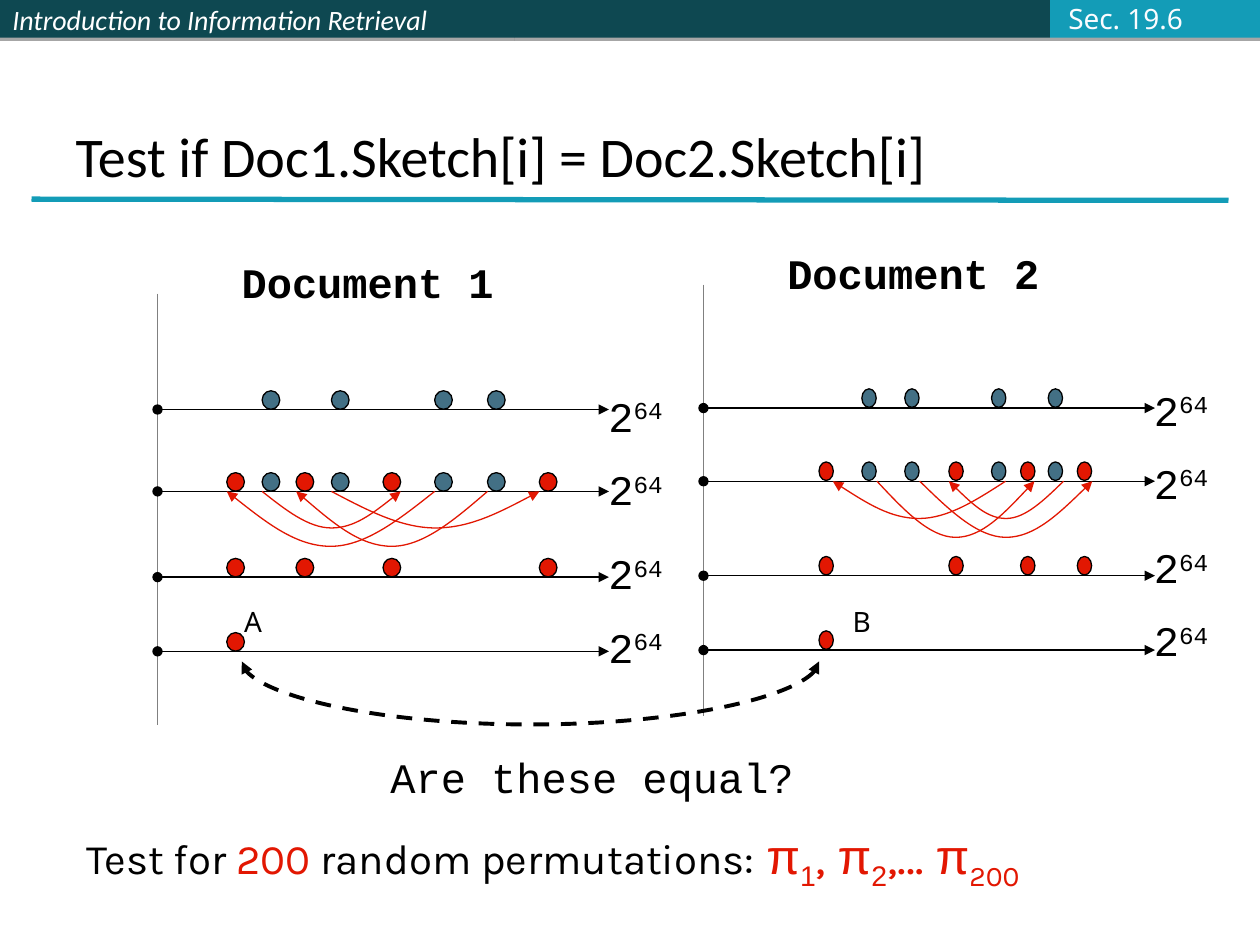
from dataclasses import dataclass

from lxml.etree import SubElement
from pptx import Presentation
from pptx.dml.color import RGBColor as Color
from pptx.enum.dml import MSO_LINE as Dash
from pptx.enum.shapes import MSO_CONNECTOR as Connector, MSO_SHAPE as Preset
from pptx.enum.text import MSO_ANCHOR as Anchor, MSO_AUTO_SIZE as Fit, PP_ALIGN as Align
from pptx.oxml.ns import qn
from pptx.util import Pt


@dataclass(frozen=True)
class Theme:
    """Colours, fonts and type sizes of the slide."""
    black: str = "000000"
    white: str = "FFFFFF"
    pale: str = "FBFCFF"
    grey: str = "808080"
    dark: str = "0E4851"
    teal: str = "139CB7"
    blue: str = "437085"
    red: str = "E21702"
    head: str = "Calibri"
    mono: str = "Courier New"
    sans: str = "Noto Sans"
    body: str = "Karla"
    greek: str = "Arial"
    title_size: float = 32
    large: float = 28
    medium: float = 24
    small: float = 16


THEME = Theme()
STEADY = ((1 / 3, 1 / 2), (2 / 3, 1))
ROUND = ((0, 1 / 2), (1 / 2, 1))


@dataclass(frozen=True)
class Arc:
    """A curved arrow that dips below its row."""
    start: float
    end: float
    depth: float


@dataclass(frozen=True)
class Diagram:
    """One document with its four number lines."""
    name: str
    name_at: tuple[float, float]
    left: float
    guide_top: float
    rows: tuple[float, ...]
    dot_width: float
    dot_lift: float
    hashes: tuple[float, ...]
    permuted: tuple[float, ...]
    arcs: tuple[Arc, ...]
    label_left: float
    label_tops: tuple[float, ...]


DIAGRAMS = (
    Diagram("Document 1", (131, 143.3), 90, 167.8, (234, 280.8, 329.8, 372.2), 10.1, 10.7,
            (149.8, 189.4, 248.4, 278.6), (129.6, 169.2, 218.9, 308.2),
            (Arc(149.8, 229, 20.9), Arc(248.4, 129.6, 31.4),
             Arc(189.4, 308.2, 20.9), Arc(278.6, 169.2, 31.4)),
            340.6, (219.6, 261.4, 309.6, 351.4)),
    Diagram("Document 2", (442.8, 138.2), 402, 162.7, (233.2, 275, 329, 371.5), 8.2, 11,
            (492.5, 517, 566.6, 599), (468, 542.2, 583.2, 615.6),
            (Arc(607.7, 542.2, 21.3), Arc(525.6, 624.2, 32.1),
             Arc(574.6, 475.9, 21.3), Arc(501.1, 591.1, 32.1)),
            652.3, (216, 257.8, 306, 347.8)),
)


def add_span(para, text: str, *, size: float = THEME.medium, font: str = THEME.mono,
             color: str = THEME.black, bold: bool = False, italic: bool = False,
             baseline: int = 0) -> None:
    """Append formatted text; baseline is a percentage of the type size."""
    span = para.add_run()
    span.text = text
    span.font.size, span.font.name = Pt(size), font
    span.font.bold, span.font.italic = bold, italic
    span.font.color.rgb = Color.from_string(color)
    if baseline:
        span._r.get_or_add_rPr().set("baseline", str(baseline * 1000))


def add_box(page, left: float, top: float, width: float, height: float, anchor=Anchor.TOP):
    """Add an unwrapped text box and return its first paragraph."""
    frame = page.shapes.add_textbox(Pt(left), Pt(top), Pt(width), Pt(height)).text_frame
    frame.word_wrap = False
    frame.auto_size = Fit.SHAPE_TO_FIT_TEXT
    frame.vertical_anchor = anchor
    return frame.paragraphs[0]


def style_line(shape, color: str, weight: float, head: str = "", tail: str = "") -> None:
    """Set a line's colour, weight and arrowheads."""
    shape.line.color.rgb = Color.from_string(color)
    shape.line.width = Pt(weight)
    stroke = shape.element.spPr.find(qn("a:ln"))
    for tag, kind in (("a:headEnd", head), ("a:tailEnd", tail)):
        if kind:
            SubElement(stroke, qn(tag), type=kind)


def add_line(page, x1: float, y1: float, x2: float, y2: float, color: str,
             weight: float = 0.75, **ends: str) -> None:
    """Add a straight line without a shadow."""
    line = page.shapes.add_connector(Connector.STRAIGHT, Pt(x1), Pt(y1), Pt(x2), Pt(y2))
    style_line(line, color, weight, **ends)
    SubElement(line.element.spPr, qn("a:effectLst"))


def add_shape(page, preset, left: float, top: float, width: float, height: float, fill: str):
    """Add a flat filled preset shape."""
    shape = page.shapes.add_shape(preset, Pt(left), Pt(top), Pt(width), Pt(height))
    shape.shadow.inherit = False
    shape.fill.solid()
    shape.fill.fore_color.rgb = Color.from_string(fill)
    return shape


def add_bar(page, left: float, width: float, fill: str):
    """Add a header bar with a thin shadow beneath."""
    bar = add_shape(page, Preset.RECTANGLE, left, 0, width, 21.6, fill)
    bar.line.fill.background()
    effects = bar.element.spPr.find(qn("a:effectLst"))
    shadow = SubElement(effects, qn("a:outerShdw"), blurRad="0", dist=str(Pt(1.8)),
                        dir="5400000", algn="ctr", rotWithShape="0")
    tint = SubElement(shadow, qn("a:srgbClr"), val=THEME.black)
    SubElement(tint, qn("a:alpha"), val="35000")
    return bar


def add_arc(page, arc: Arc, top: float, color: str, weight: float = 0.75, bend=STEADY,
            **ends: str):
    """Add a two-part curve that hangs from one height."""
    middle = (arc.start + arc.end) / 2
    builder = page.shapes.build_freeform(Pt(arc.start), Pt(top), scale=1.0)
    builder.add_line_segments([(Pt(middle), Pt(top + arc.depth)), (Pt(arc.end), Pt(top))],
                              close=False)
    curve = builder.convert_to_shape()
    curve.shadow.inherit = False
    curve.fill.background()
    style_line(curve, color, weight, **ends)
    falling = [(arc.start + (middle - arc.start) * x, arc.depth * y) for x, y in bend]
    rising = [(arc.end + (middle - arc.end) * x, arc.depth * y) for x, y in reversed(bend)]
    origin = min(arc.start, arc.end)
    segments = list(curve.element.iter(qn("a:lnTo")))
    for segment, controls in zip(segments, (falling, rising)):
        segment.tag = qn("a:cubicBezTo")
        for place, (x, y) in enumerate(controls):
            SubElement(segment, qn("a:pt"), x=str(Pt(x - origin)), y=str(Pt(y)))
            segment.insert(place, segment[-1])
    return curve


def draw_diagram(page, diagram: Diagram) -> None:
    """Draw a document's guide, number lines, dots, arcs and labels."""
    left = diagram.left
    add_line(page, left, diagram.guide_top, left, diagram.guide_top + 246.2, THEME.grey)
    blue = [(x, THEME.blue) for x in diagram.hashes]
    red = [(x, THEME.red) for x in diagram.permuted]
    row_dots = (blue, blue + red, red, red[:1])
    for y, dots, label_top in zip(diagram.rows, row_dots, diagram.label_tops):
        add_line(page, left, y, left + 258, y, THEME.black, head="oval", tail="triangle")
        for x, fill in dots:
            dot = add_shape(page, Preset.OVAL, x, y - diagram.dot_lift, diagram.dot_width,
                            10.6, fill)
            style_line(dot, THEME.black, 0.75)
        para = add_box(page, diagram.label_left, label_top, 45.4, 36)
        add_span(para, "2")
        add_span(para, "64", baseline=30)
    for arc in diagram.arcs:
        add_arc(page, arc, diagram.rows[1], THEME.red, tail="triangle")
    add_span(add_box(page, *diagram.name_at, 158.4, 36), diagram.name, bold=True)


def draw_header(page) -> None:
    """Draw the header bars, the title and its rule."""
    course = add_bar(page, 0, 293.8, THEME.dark)
    course.text_frame.vertical_anchor = Anchor.MIDDLE
    para = course.text_frame.paragraphs[0]
    para.alignment = Align.LEFT
    add_span(para, "Introduction to Information Retrieval", size=THEME.small,
             font=THEME.head, color=THEME.white, italic=True)
    add_bar(page, 293.8, 306.2, THEME.dark)
    add_bar(page, 600, 120, THEME.teal)
    add_span(add_box(page, 603.4, -2.9, 80, 26.6, Anchor.MIDDLE), "Sec. 19.6",
             size=THEME.small, font=THEME.sans, color=THEME.pale)
    add_line(page, 18, 113.8, 702, 114.5, THEME.teal, 3)
    title = page.shapes.title
    title.left, title.top, title.width, title.height = Pt(36), Pt(21.6), Pt(648), Pt(90)
    title.text_frame.auto_size = Fit.NONE
    title.text_frame.vertical_anchor = Anchor.BOTTOM
    para = title.text_frame.paragraphs[0]
    para.alignment = Align.LEFT
    add_span(para, "Test if Doc1.Sketch[i] = Doc2.Sketch[i]", size=THEME.title_size,
             font=THEME.head)


def draw_question(page) -> None:
    """Draw the comparison of A with B and the closing line."""
    link = add_arc(page, Arc(468, 138.2, 36), 378, THEME.black, 2.25, ROUND)
    link.line.dash_style = Dash.DASH
    style_line(link, THEME.black, 2.25, head="triangle", tail="triangle")
    for letter, left in (("A", 132.5), ("B", 480.2)):
        add_span(add_box(page, left, 342, 24.5, 26.6), letter, size=THEME.small,
                 font=THEME.sans)
    add_span(add_box(page, 216, 426.2, 244.8, 36), "Are these equal?")
    para = add_box(page, 42.5, 468, 558.7, 45.4)
    for text, color in (("Test for", THEME.black), (" 200", THEME.red),
                        (" random permutations:", THEME.black)):
        add_span(para, text, font=THEME.body, color=color)
    symbol = {"size": THEME.large, "color": THEME.red}
    add_span(para, " ", size=THEME.large, font=THEME.body)
    for index, font, after in (("1", THEME.greek, ", "), ("2", THEME.greek, ",… "),
                               ("200", THEME.body, "")):
        add_span(para, "π", font=THEME.greek, **symbol)
        add_span(para, index, font=font, baseline=-25, **symbol)
        if after:
            add_span(para, after, font=THEME.body, **symbol)


def main() -> None:
    """Build and save the slide."""
    deck = Presentation()
    deck.slide_width, deck.slide_height = Pt(720), Pt(540)
    page = deck.slides.add_slide(deck.slide_layouts[5])
    draw_header(page)
    for diagram in DIAGRAMS:
        draw_diagram(page, diagram)
    draw_question(page)
    deck.save("out.pptx")


if __name__ == "__main__":
    main()
